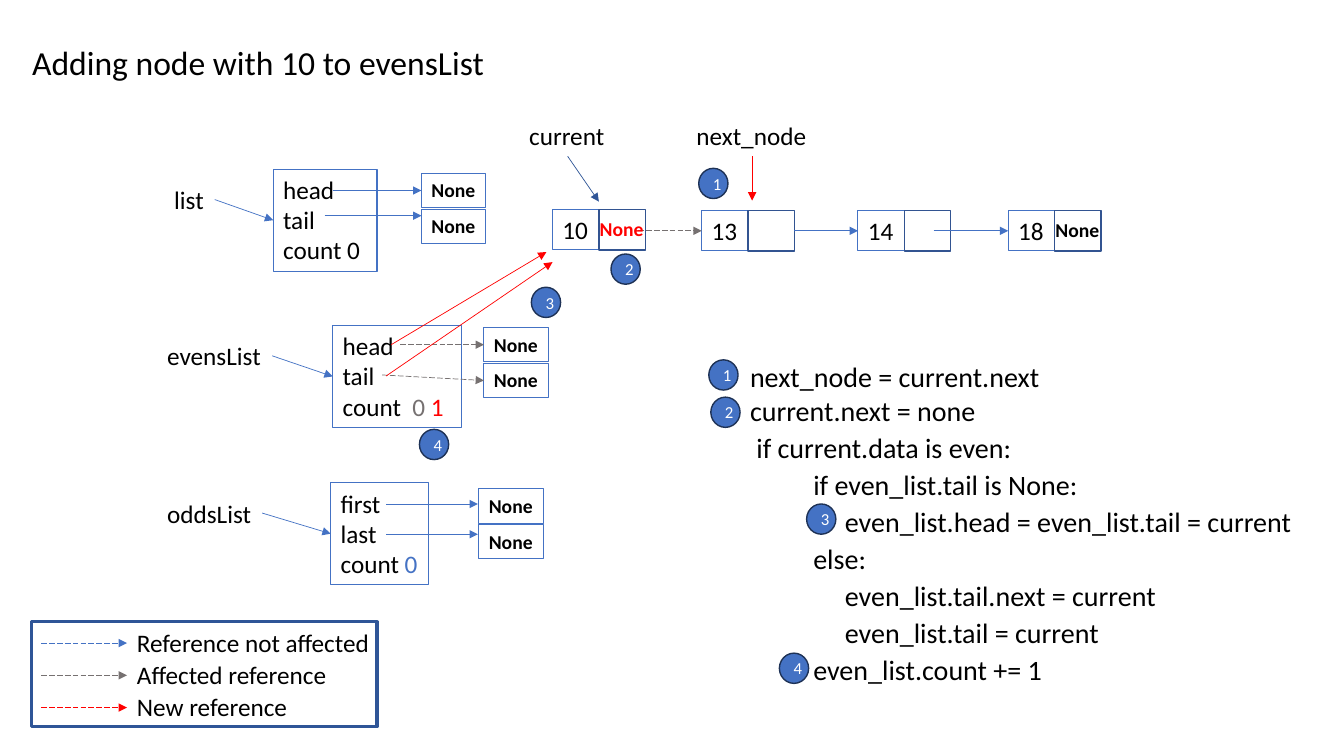
import pptx
import pptx.util
import pptx.dml.color
import pptx.enum.dml
import pptx.enum.shapes
import pptx.enum.text
import pptx.oxml
import pptx.oxml.ns

Inches = pptx.util.Inches
Pt = pptx.util.Pt
Kind = pptx.enum.shapes.MSO_SHAPE
BLACK, WHITE, BLUE, RED, GRAY = "000000", "FFFFFF", "4472C4", "FF0000", "767171"
NAVY, DARK, RIM = "2F5597", "325491", "1E3256"


def paint(code):
    return pptx.dml.color.RGBColor.from_string(code)


class Sketch:
    """Draws the parts of a linked list diagram on one slide."""

    font = "Calibri"

    def __init__(self, slide):
        self.shapes = slide.shapes

    def label(self, shape, lines, size=18, color=BLACK, bold=False, wrap=False):
        frame = shape.text_frame
        frame.word_wrap = wrap
        frame.auto_size = pptx.enum.text.MSO_AUTO_SIZE.SHAPE_TO_FIT_TEXT
        frame.vertical_anchor = pptx.enum.text.MSO_ANCHOR.TOP
        for i, line in enumerate(lines):
            para = frame.paragraphs[0] if i == 0 else frame.add_paragraph()
            para.alignment = pptx.enum.text.PP_ALIGN.LEFT
            for part in [line] if isinstance(line, str) else line:
                words, tint = (part, color) if isinstance(part, str) else part
                run = para.add_run()
                run.text = words
                run.font.name = self.font
                run.font.size = Pt(size)
                run.font.bold = bold
                run.font.color.rgb = paint(tint)
        return frame

    def text(self, at, lines, **style):
        box = self.shapes.add_textbox(*map(Inches, at))
        self.label(box, lines, **style)
        return box

    def shape(self, at, line=BLUE, width=0.75, fill=None, kind=Kind.RECTANGLE):
        form = self.shapes.add_shape(kind, *map(Inches, at))
        form.shadow.inherit = False
        if fill:
            form.fill.solid()
            form.fill.fore_color.rgb = paint(fill)
        else:
            form.fill.background()
        form.line.color.rgb = paint(line)
        form.line.width = Pt(width)
        return form

    def box(self, at, lines, **style):
        form = self.shape(at)
        self.label(form, lines, **style)
        return form

    def node(self, x, y, value):
        data = self.box((x, y, 0.46, 0.4), [value])
        return data, self.shape((x + 0.46, y, 0.46, 0.4), DARK, 1)

    def nones(self, x, y):
        return [self.box((x, y + i * 0.355, 0.64, 0.34), ["None"], size=14, bold=True, wrap=True)
                for i in range(2)]

    def badge(self, x, y, digit):
        disc = self.shape((x, y, 0.29, 0.3), RIM, 1, BLUE, Kind.OVAL)
        frame = self.label(disc, [digit], size=12, color=WHITE, wrap=True)
        frame.auto_size = pptx.enum.text.MSO_AUTO_SIZE.NONE
        frame.vertical_anchor = pptx.enum.text.MSO_ANCHOR.MIDDLE
        frame.paragraphs[0].alignment = pptx.enum.text.PP_ALIGN.CENTER

    def arrow(self, start, end, color=BLUE, dash=False):
        ends = [spot if isinstance(spot, tuple) else (0, 0) for spot in (start, end)]
        line = self.shapes.add_connector(pptx.enum.shapes.MSO_CONNECTOR.STRAIGHT,
                                         *map(Inches, ends[0] + ends[1]))
        if not isinstance(start, tuple):
            line.begin_connect(start, 3)
        if not isinstance(end, tuple):
            line.end_connect(end, 1)
        line.line.color.rgb = paint(color)
        line.line.width = Pt(0.5)
        if dash:
            line.line.dash_style = pptx.enum.dml.MSO_LINE.LONG_DASH
        space = pptx.oxml.ns.nsdecls("a")
        props = line._element.spPr
        props.get_or_add_ln().append(
            pptx.oxml.parse_xml(f'<a:tailEnd {space} type="triangle"/>'))
        props.append(pptx.oxml.parse_xml(f"<a:effectLst {space}/>"))


def main():
    deck = pptx.Presentation()
    deck.slide_width, deck.slide_height = Inches(13.33), Inches(7.5)
    art = Sketch(deck.slides.add_slide(deck.slide_layouts[6]))

    art.text((0.22, 0.37, 4.72, 0.5), ["Adding node with 10 to evensList"], size=24)
    art.text((5.15, 1.14, 0.96, 0.4), ["current"])
    art.text((6.81, 1.14, 1.3, 0.4), ["next_node"])

    art.node(5.48, 2.08, "10")
    second, link = art.node(6.96, 2.09, "13")
    third, _ = art.node(8.51, 2.09, "14")
    fourth, _ = art.node(10, 2.09, "18")
    art.arrow((6.33, 2.29), second, GRAY, True)
    art.arrow(link, third)
    art.arrow((9.26, 2.29), fourth)
    art.text((5.85, 2.1, 0.64, 0.34), ["None"], size=14, color=RED, bold=True)
    art.text((10.37, 2.11, 0.7, 0.34), ["None"], size=14, bold=True, wrap=True)
    art.arrow((5.63, 1.55), (5.94, 2), NAVY)
    art.arrow((7.46, 1.55), (7.46, 1.99), RED)

    lists = [
        ("list", (1.63, 1.78, 0.5, 0.4), (2.71, 1.68, 1.03, 1.01),
         ["head", "tail", "count 0"], (4.18, 1.72)),
        ("evensList", (1.56, 3.33, 1.14, 0.4), (3.3, 3.23, 1.28, 1.01),
         ["head", "tail", ["count  ", ("0 ", GRAY), ("1", RED)]], (4.8, 3.25)),
        ("oddsList", (1.56, 4.89, 1.04, 0.4), (3.28, 4.79, 0.97, 1.01),
         ["first", "last", ["count ", ("0", BLUE)]], (4.75, 4.85)),
    ]
    cells = {}
    for name, place, frame, fields, spot in lists:
        title = art.text(place, [name])
        art.arrow(title, art.box(frame, fields))
        cells[name] = art.nones(*spot)
    art.arrow((3.3, 1.89), cells["list"][0])
    art.arrow((3.22, 2.14), (4.18, 2.14))
    art.arrow((3.97, 3.42), cells["evensList"][0], GRAY, True)
    art.arrow((3.79, 3.72), cells["evensList"][1], GRAY, True)
    art.arrow((3.83, 5), (4.74, 5))
    art.arrow((3.83, 5.3), (4.74, 5.3))
    art.arrow((3.88, 3.42), (5.42, 2.5), RED)
    art.arrow((3.83, 3.73), (5.48, 2.6), RED)

    code = art.text((7.34, 3.52, 5.62, 3.35), [
        "next_node = current.next",
        "current.next = none",
        " if current.data is even:",
        "          if even_list.tail is None:",
        "               even_list.head = even_list.tail = current",
        "          else:",
        "               even_list.tail.next = current",
        "               even_list.tail = current",
        "          even_list.count += 1",
    ], size=20, wrap=True)
    for para in code.text_frame.paragraphs[2:]:
        para.line_spacing = 1.1

    art.shape((0.31, 6.17, 3.43, 1.04), NAVY, 2.25)
    legend = [("Reference not affected", 2.54, BLUE),
              ("Affected reference", 2.11, GRAY),
              ("New reference", 1.71, RED)]
    for i, (words, width, color) in enumerate(legend):
        top = 6.17 + i * 0.32
        art.text((1.26, top, width, 0.4), [words])
        art.arrow((0.41, top + 0.21), (1.26, top + 0.21), color, True)

    for x, y, digit in [(6.93, 1.67, "1"), (6.06, 2.52, "2"), (5.27, 2.85, "3"),
                        (4.16, 4.26, "4"), (7.03, 3.57, "1"), (7.05, 3.94, "2"),
                        (8, 5, "3"), (7.73, 6.48, "4")]:
        art.badge(x, y, digit)

    deck.save("out.pptx")


if __name__ == "__main__":
    main()
